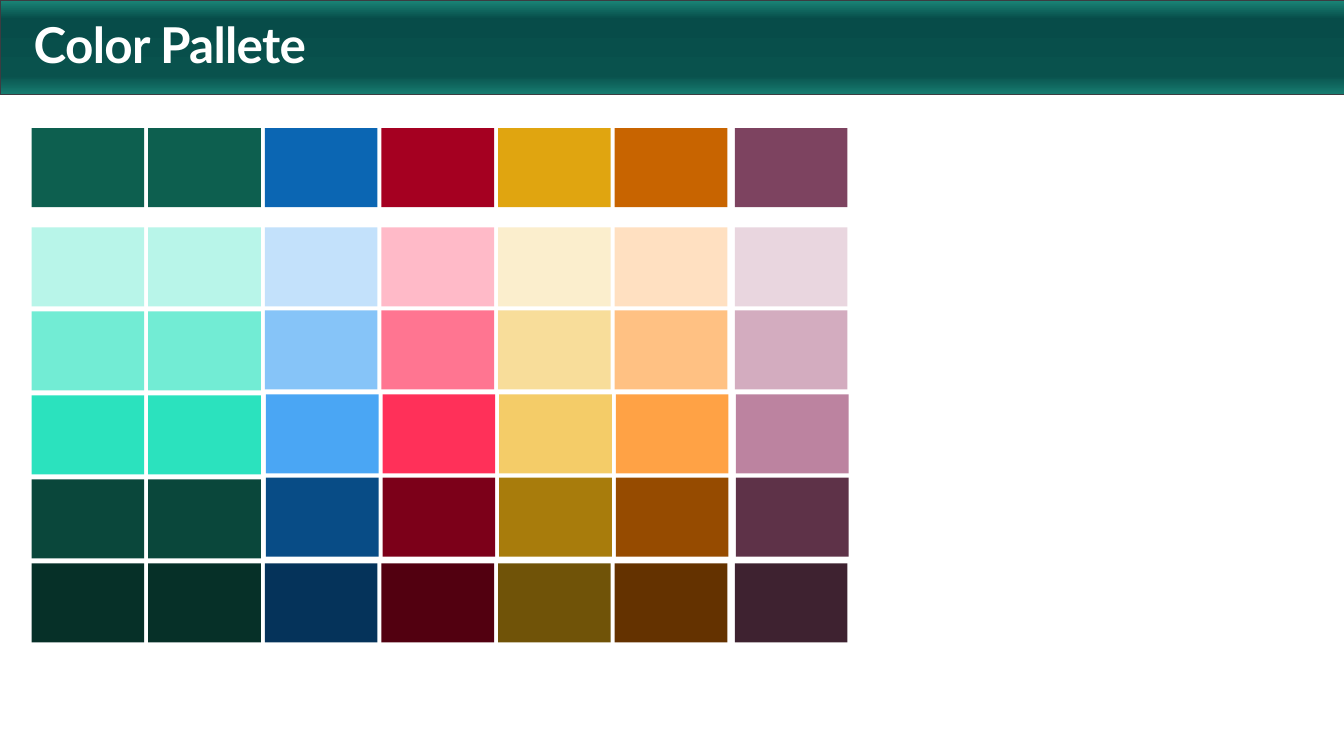
from pptx import Presentation
from pptx.dml.color import RGBColor as RGB
from pptx.enum.shapes import MSO_SHAPE as SHAPE
from pptx.enum.text import MSO_ANCHOR as ANCHOR
from pptx.oxml import parse_xml
from pptx.oxml.ns import nsdecls
from pptx.util import Inches, Pt

WHITE = RGB(0xFF, 0xFF, 0xFF)
OUTLINE = RGB(0x3C, 0x3C, 0x41)
BANNER = [
    (1, RGB(0x19, 0x83, 0x75)),
    (20, RGB(0x07, 0x4C, 0x49)),
    (80, RGB(0x09, 0x52, 0x4D)),
    (100, RGB(0x17, 0x7D, 0x71)),
]
GREEN = [RGB(0x0D, 0x5F, 0x4F), RGB(0xB8, 0xF5, 0xE9), RGB(0x72, 0xEC, 0xD4),
         RGB(0x2B, 0xE2, 0xBE), RGB(0x0A, 0x47, 0x3B), RGB(0x06, 0x30, 0x28)]
BLUE = [RGB(0x0B, 0x66, 0xB3), RGB(0xC3, 0xE1, 0xFB), RGB(0x86, 0xC4, 0xF8),
        RGB(0x4A, 0xA6, 0xF4), RGB(0x08, 0x4C, 0x86), RGB(0x05, 0x33, 0x5A)]
RED = [RGB(0xA5, 0x00, 0x21), RGB(0xFF, 0xBA, 0xC8), RGB(0xFF, 0x75, 0x91),
       RGB(0xFF, 0x30, 0x59), RGB(0x7C, 0x00, 0x19), RGB(0x52, 0x00, 0x10)]
GOLD = [RGB(0xE0, 0xA5, 0x10), RGB(0xFB, 0xEE, 0xCD), RGB(0xF8, 0xDD, 0x9A),
        RGB(0xF4, 0xCC, 0x68), RGB(0xA8, 0x7C, 0x0C), RGB(0x70, 0x53, 0x08)]
ORANGE = [RGB(0xC8, 0x64, 0x00), RGB(0xFF, 0xE0, 0xC1), RGB(0xFF, 0xC1, 0x83),
          RGB(0xFF, 0xA2, 0x45), RGB(0x96, 0x4B, 0x00), RGB(0x64, 0x32, 0x00)]
PLUM = [RGB(0x7D, 0x43, 0x60), RGB(0xE9, 0xD6, 0xDF), RGB(0xD3, 0xAC, 0xBF),
        RGB(0xBC, 0x83, 0xA0), RGB(0x5E, 0x32, 0x48), RGB(0x3E, 0x22, 0x30)]

GREEN_ROWS = [-1.18, 0, 1, 2, 3, 4]
OTHER_ROWS = [-1.18, 0, 0.99, 1.99, 2.98, 4]
OTHER_SHIFT = [0, 0, 0, 0.01, 0.01, 0]
FAMILIES = [(0, GREEN), (1, GREEN), (2, BLUE), (3, RED),
            (4, GOLD), (5, ORANGE), (6.03, PLUM)]


class PaletteSlide:
    """Draws the banner, title and swatches on one slide."""

    font = "Lato"
    left, top = 0.32, 2.3
    col_step, row_step = 1.18, 0.85
    swatch_size = Inches(1.14), Inches(0.8)

    def __init__(self, prs):
        self.width = prs.slide_width
        self.slide = prs.slides.add_slide(prs.slide_layouts[6])

    def rect(self, x, y, w, h):
        sp = self.slide.shapes.add_shape(SHAPE.RECTANGLE, x, y, w, h)
        sp.shadow.inherit = False
        return sp

    def banner(self, height, stops):
        sp = self.rect(0, 0, self.width, height)
        sp.line.color.rgb = OUTLINE
        sp.line.width = Pt(0.5)
        marks = "".join(
            f'<a:gs pos="{pos * 1000}"><a:srgbClr val="{color}"/></a:gs>'
            for pos, color in stops)
        grad = parse_xml(
            f'<a:gradFill {nsdecls("a")} rotWithShape="1"><a:gsLst>{marks}</a:gsLst>'
            '<a:lin ang="5400000" scaled="0"/></a:gradFill>')
        sp._element.spPr.prstGeom.addnext(grad)

    def title(self, text, x, y, w, h):
        tf = self.slide.shapes.add_textbox(x, y, w, h).text_frame
        tf.word_wrap = True
        tf.vertical_anchor = ANCHOR.MIDDLE
        tf.margin_left = tf.margin_right = tf.margin_top = tf.margin_bottom = 0
        p = tf.paragraphs[0]
        p.line_spacing = 0.9
        p.font.name = self.font
        p.font.size = Pt(36)
        p.font.bold = True
        p.font.color.rgb = WHITE
        r = p.add_run()
        r.text = text
        r._r.get_or_add_rPr().set("spc", "-50")

    def swatch(self, col, row, color):
        x = Inches(self.left + col * self.col_step)
        y = Inches(self.top + row * self.row_step)
        sp = self.rect(x, y, *self.swatch_size)
        sp.fill.solid()
        sp.fill.fore_color.rgb = color
        sp.line.fill.background()


def main():
    prs = Presentation()
    prs.slide_width, prs.slide_height = Inches(13.6), Inches(7.65)
    s = PaletteSlide(prs)
    s.banner(Inches(0.96), BANNER)
    s.title("Color Pallete", Inches(0.34), Inches(0.21), Inches(12.91), Inches(0.55))
    for col, shades in FAMILIES:
        green = shades is GREEN
        rows = GREEN_ROWS if green else OTHER_ROWS
        shifts = [0] * len(rows) if green else OTHER_SHIFT
        for row, shift, color in zip(rows, shifts, shades):
            s.swatch(col + shift, row, color)
    prs.save("out.pptx")


if __name__ == "__main__":
    main()
